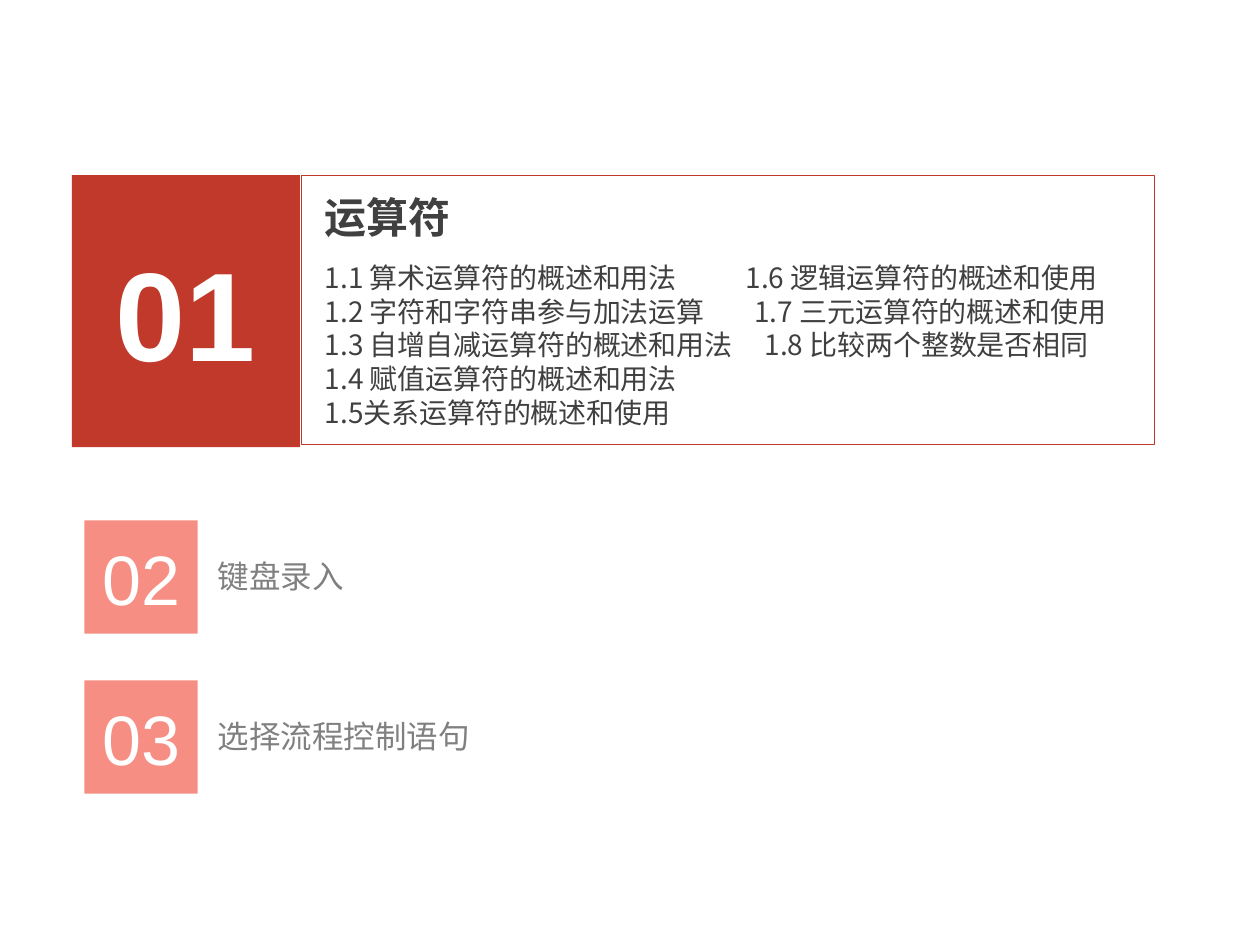
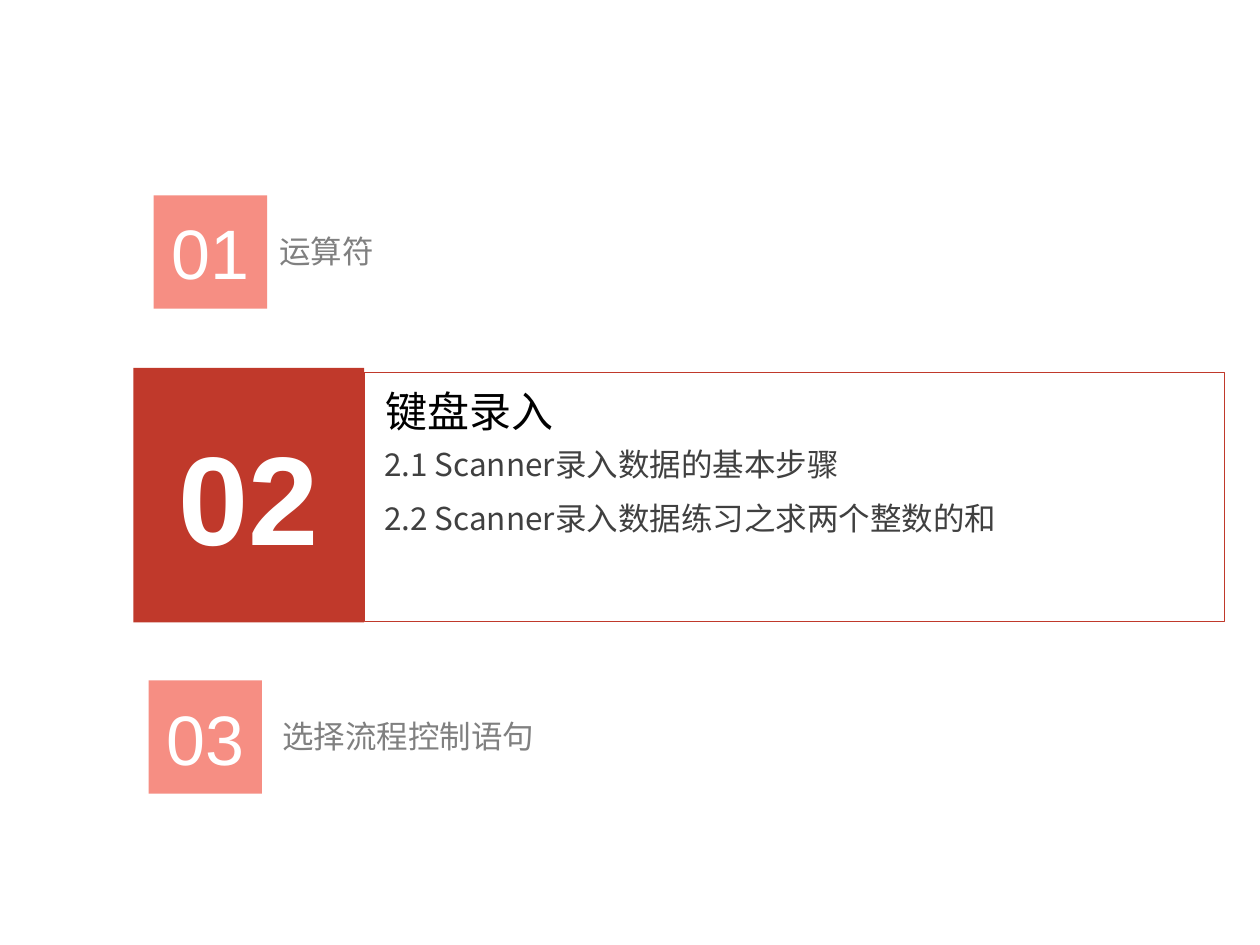
from lxml.etree import SubElement
from pptx import Presentation
from pptx.dml.color import RGBColor
from pptx.enum.shapes import MSO_SHAPE
from pptx.enum.text import MSO_ANCHOR, PP_ALIGN
from pptx.oxml.ns import qn
from pptx.util import Inches, Pt

RED, PALE, WHITE = "C0392B", "F47264", "FFFFFF"
DARK, GREY, BLACK = "404040", "808080", "000000"
DIGITS, BODY = "Arial", "Noto Sans CJK SC"

deck = Presentation()
deck.slide_width, deck.slide_height = Inches(10), Inches(7.5)
COL, ROW = deck.slide_width / 100, deck.slide_height / 75  # grid of 100 x 75
PALE_SIDE, LABEL_DROP = 9, 2.4


def place(slide, kind, left, top, width, height):
    box = [int(left * COL), int(top * ROW), int(width * COL), int(height * ROW)]
    if kind == "text":
        shape = slide.shapes.add_textbox(*box)
        shape.text_frame.word_wrap = True
        return shape
    shape = slide.shapes.add_shape(MSO_SHAPE.RECTANGLE, *box)
    shape.shadow.inherit = False
    if kind == "frame":
        shape.fill.background()
        shape.line.color.rgb = RGBColor.from_string(RED)
        shape.line.width = Pt(0.5)
    else:
        shape.fill.solid()
        shape.fill.fore_color.rgb = RGBColor.from_string(kind)
        shape.line.fill.background()
        shape.text_frame.vertical_anchor = MSO_ANCHOR.MIDDLE
    return shape


def write(paragraph, words, size, color, font=BODY, bold=False, align=PP_ALIGN.LEFT):
    paragraph.alignment = align
    run = paragraph.add_run()
    run.text = words
    run.font.size, run.font.bold, run.font.name = Pt(size), bold, font
    run.font.color.rgb = RGBColor.from_string(color)
    SubElement(run.font._element, qn("a:ea"), typeface=font)


# Per slide: current number block, its frame, heading, and the pale chapters
agenda = [
    {
        "current": ("01", (5.7, 13.9, 18.1, 21.6)),
        "frame": (23.9, 13.9, 67.7, 21.4),
        "heading": ("运算符", 24.8, 14.7, DARK, True),
        "others": [("02", "键盘录入", 6.7, 41.3, 9.6),
                   ("03", "选择流程控制语句", 6.7, 54, 9.6)],
    },
    {
        "current": ("02", (10.6, 29.2, 18.3, 20.2)),
        "frame": (28.9, 29.6, 68.3, 19.7),
        "heading": ("键盘录入", 29.6, 30.1, BLACK, False),
        "others": [("01", "运算符", 12.2, 15.5, 9),
                   ("03", "选择流程控制语句", 11.8, 54, 9.6)],
    },
]

slides = []
for chapter in agenda:
    slide = deck.slides.add_slide(deck.slide_layouts[6])
    slides.append(slide)

    # Current chapter
    number, area = chapter["current"]
    block = place(slide, RED, *area)
    write(block.text_frame.paragraphs[0], number, 72, WHITE, DIGITS, True, PP_ALIGN.CENTER)
    place(slide, "frame", *chapter["frame"])
    title, left, top, color, bold = chapter["heading"]
    heading = place(slide, "text", left, top, 40, 5.1)
    write(heading.text_frame.paragraphs[0], title, 24, color, bold=bold)

    # Other chapters
    for number, title, left, top, label_shift in chapter["others"]:
        square = place(slide, PALE, left, top, PALE_SIDE, PALE_SIDE)
        tint = square.fill._xPr.find(".//" + qn("a:srgbClr"))
        SubElement(tint, qn("a:alpha"), val="80000")
        write(square.text_frame.paragraphs[0], number, 40, WHITE, DIGITS, align=PP_ALIGN.CENTER)
        label = place(slide, "text", left + label_shift, top + LABEL_DROP, 40, 4)
        write(label.text_frame.paragraphs[0], title, 18, GREY)

# Operator sections: the second column starts at a tab stop, in inches
operator_sections = [
    ("1.1 算术运算符的概述和用法\t1.6 逻辑运算符的概述和使用", 3.34),
    ("1.2 字符和字符串参与加法运算\t1.7 三元运算符的概述和使用", 3.41),
    ("1.3 自增自减运算符的概述和用法\t1.8 比较两个整数是否相同", 3.49),
    ("1.4 赋值运算符的概述和用法", None),
    ("1.5关系运算符的概述和使用", None),
]
operators = place(slides[0], "text", 24.8, 20.2, 72, 17.2).text_frame
for index, (section, stop) in enumerate(operator_sections):
    paragraph = operators.add_paragraph() if index else operators.paragraphs[0]
    write(paragraph, section, 16, DARK)
    if stop:
        tabs = SubElement(paragraph._p.get_or_add_pPr(), qn("a:tabLst"))
        SubElement(tabs, qn("a:tab"), pos=str(Inches(stop)), algn="l")

# Keyboard input sections
input_sections = ["2.1 Scanner录入数据的基本步骤", "2.2 Scanner录入数据练习之求两个整数的和"]
for index, section in enumerate(input_sections):
    line = place(slides[1], "text", 29.5, 34.8 + 4.3 * index, 66, 4)
    write(line.text_frame.paragraphs[0], section, 18, DARK)

deck.save("out.pptx")
